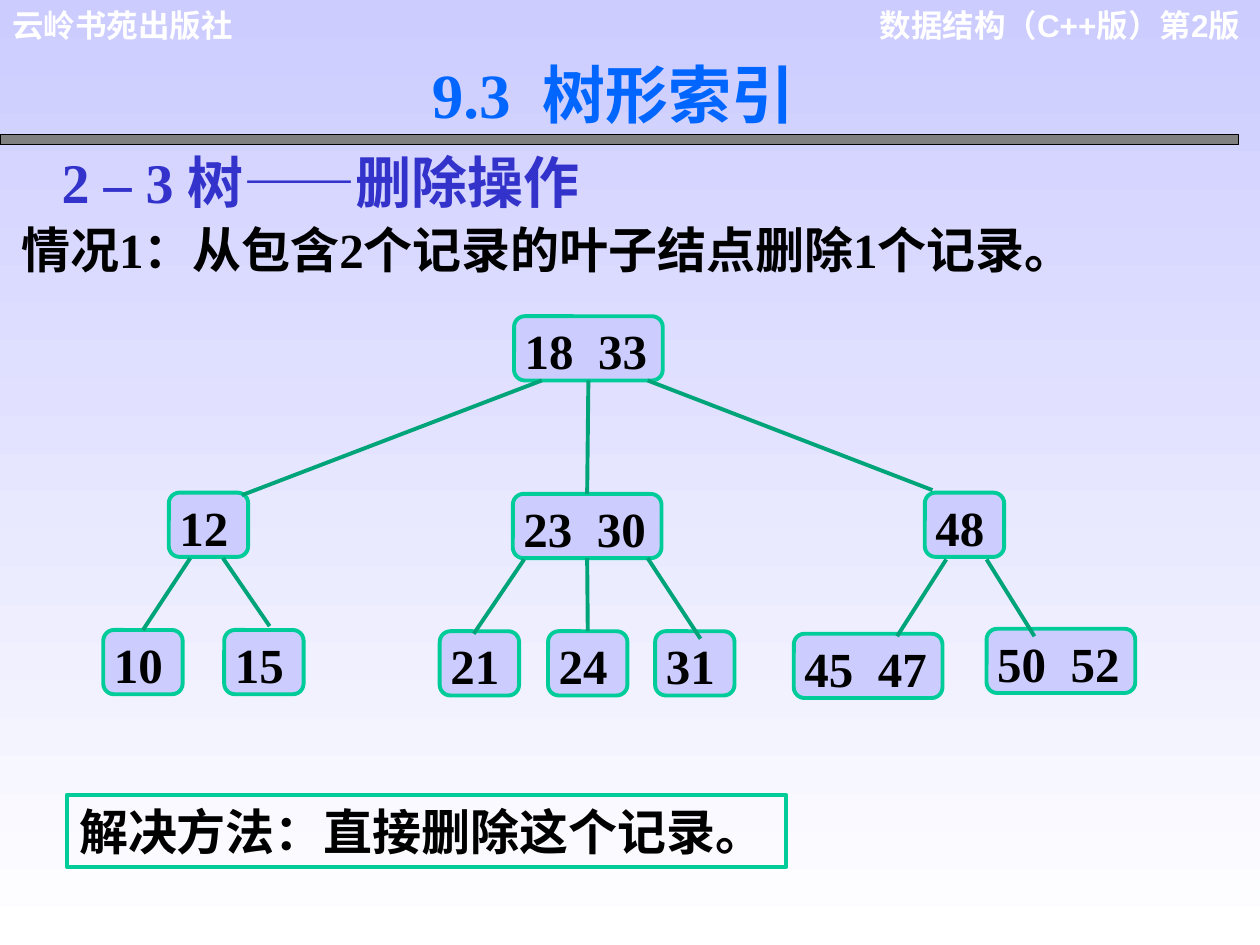
from dataclasses import dataclass
from typing import Optional

from lxml import etree
from pptx import Presentation
from pptx.dml.color import RGBColor
from pptx.enum import shapes, text
from pptx.oxml import ns
from pptx.util import Inches, Pt

COLORS = {
    "lavender": "CCCCFF",
    "white": "FFFFFF",
    "black": "000000",
    "gray": "808080",
    "border": "00CC99",
    "branch": "00A479",
    "title": "0066FF",
    "subtitle": "3333CC",
}
SERIF = "Times New Roman"
NODE_HEIGHT = 0.51
NODE_WIDTHS = {1: 0.63, 2: 1.18}
LINE_WIDTH = 2.25
BOTTOM, TOP = 2, 0


@dataclass
class Node:
    keys: str
    left: float
    top: float


@dataclass
class Branch:
    start: tuple[float, float]
    end: tuple[float, float]
    parent: Optional[str] = None
    child: Optional[str] = None


@dataclass
class Label:
    words: str
    box: tuple[float, float, float, float]
    size: float
    color: str
    font: str = SERIF
    align: text.PP_ALIGN = text.PP_ALIGN.LEFT
    anchor: text.MSO_ANCHOR = text.MSO_ANCHOR.TOP
    wrap: bool = True
    framed: bool = False
    shadow: bool = False


NODES = [
    Node("18  33", 4.08, 2.51),
    Node("12", 1.34, 3.91),
    Node("23  30", 4.07, 3.92),
    Node("48", 7.34, 3.91),
    Node("10", 0.82, 5),
    Node("15", 1.78, 5),
    Node("21", 3.49, 5.01),
    Node("24", 4.35, 5.01),
    Node("31", 5.2, 5.01),
    Node("45  47", 6.3, 5.03),
    Node("50  52", 7.83, 4.99),
]

BRANCHES = [
    Branch((4.3, 3.02), (1.92, 3.93)),
    Branch((4.68, 3.02), (4.68, 3.92), "18  33", "23  30"),
    Branch((5.14, 3.02), (7.4, 3.89)),
    Branch((1.51, 4.43), (1.13, 5), child="10"),
    Branch((1.77, 4.43), (2.14, 4.97)),
    Branch((4.16, 4.44), (3.76, 5.03)),
    Branch((4.68, 4.44), (4.68, 5.01), "23  30", "24"),
    Branch((5.14, 4.43), (5.56, 5.07)),
    Branch((7.51, 4.44), (7.12, 5.05)),
    Branch((7.83, 4.44), (8.21, 5.05)),
]

LABELS = [
    Label("数据结构（C++版）第2版", (6.77, 0, 3.17, 0.7), 18, "white", "Arial",
          align=text.PP_ALIGN.RIGHT),
    Label("云岭书苑出版社", (0, 0, 2.71, 0.4), 18, "white", "Arial"),
    Label("9.3  树形索引", (3.33, 0.39, 4.08, 0.7), 36, "title", shadow=True),
    Label("2 – 3 树——删除操作", (0.39, 1.12, 4.57, 0.64), 32, "subtitle"),
    Label("情况1：从包含2个记录的叶子结点删除1个记录。", (0.07, 1.69, 9.19, 0.57), 28,
          "black", anchor=text.MSO_ANCHOR.MIDDLE, wrap=False),
    Label("解决方法：直接删除这个记录。", (0.53, 6.31, 5.71, 0.57), 28, "black",
          anchor=text.MSO_ANCHOR.MIDDLE, framed=True),
]


def rgb(name: str) -> RGBColor:
    return RGBColor.from_string(COLORS[name])


def set_line(line, color: str, width: float) -> None:
    line.color.rgb = rgb(color)
    line.width = Pt(width)


def write(paragraph, words: str, size: float, color: str, font: str):
    run = paragraph.add_run()
    run.text = words
    run.font.size = Pt(size)
    run.font.bold = True
    run.font.name = font
    run.font.color.rgb = rgb(color)
    return run


def add_text_shadow(run) -> None:
    effects = etree.Element(ns.qn("a:effectLst"))
    shadow = etree.SubElement(effects, ns.qn("a:outerShdw"),
                              dist="25400", dir="2700000", algn="tl")
    etree.SubElement(shadow, ns.qn("a:srgbClr"), val=COLORS["gray"])
    run.font.fill
    run.font._element.find(ns.qn("a:solidFill")).addnext(effects)


def add_label(slide, label: Label) -> None:
    box = slide.shapes.add_textbox(*map(Inches, label.box))
    if label.framed:
        set_line(box.line, "border", LINE_WIDTH)
    frame = box.text_frame
    frame.word_wrap = label.wrap
    frame.auto_size = text.MSO_AUTO_SIZE.SHAPE_TO_FIT_TEXT
    frame.vertical_anchor = label.anchor
    paragraph = frame.paragraphs[0]
    paragraph.alignment = label.align
    run = write(paragraph, label.words, label.size, label.color, label.font)
    if label.shadow:
        add_text_shadow(run)


def add_node(slide, node: Node):
    width = NODE_WIDTHS[len(node.keys.split())]
    box = slide.shapes.add_shape(
        shapes.MSO_SHAPE.ROUNDED_RECTANGLE,
        *map(Inches, (node.left, node.top, width, NODE_HEIGHT)))
    box.shadow.inherit = False
    box.fill.solid()
    box.fill.fore_color.rgb = rgb("lavender")
    set_line(box.line, "border", LINE_WIDTH)
    frame = box.text_frame
    frame.word_wrap = True
    frame.vertical_anchor = text.MSO_ANCHOR.TOP
    frame.margin_left = Inches(0.06)
    frame.margin_right = Inches(0.02)
    frame.margin_top = frame.margin_bottom = Inches(0.01)
    paragraph = frame.paragraphs[0]
    paragraph.alignment = text.PP_ALIGN.JUSTIFY
    write(paragraph, node.keys, 28, "black", SERIF)
    return box


def add_branch(slide, branch: Branch, boxes: dict) -> None:
    connector = slide.shapes.add_connector(
        shapes.MSO_CONNECTOR.STRAIGHT, *map(Inches, branch.start + branch.end))
    set_line(connector.line, "branch", LINE_WIDTH)
    etree.SubElement(connector._element.spPr, ns.qn("a:effectLst"))
    if branch.parent:
        connector.begin_connect(boxes[branch.parent], BOTTOM)
    if branch.child:
        connector.end_connect(boxes[branch.child], TOP)


def add_title_bar(slide) -> None:
    bar = slide.shapes.add_shape(shapes.MSO_SHAPE.RECTANGLE,
                                 *map(Inches, (0, 1.07, 9.83, 0.08)))
    bar.shadow.inherit = False
    bar.fill.solid()
    bar.fill.fore_color.rgb = rgb("gray")
    set_line(bar.line, "black", 0.75)


def main() -> None:
    deck = Presentation()
    deck.slide_width, deck.slide_height = Inches(10), Inches(7.5)
    slide = deck.slides.add_slide(deck.slide_layouts[6])
    backdrop = slide.background.fill
    backdrop.gradient()
    backdrop.gradient_angle = 270
    for stop, color in zip(backdrop.gradient_stops, ("lavender", "white")):
        stop.color.rgb = rgb(color)
    add_title_bar(slide)
    boxes = {node.keys: add_node(slide, node) for node in NODES}
    for branch in BRANCHES:
        add_branch(slide, branch, boxes)
    for label in LABELS:
        add_label(slide, label)
    deck.save("out.pptx")


if __name__ == "__main__":
    main()
